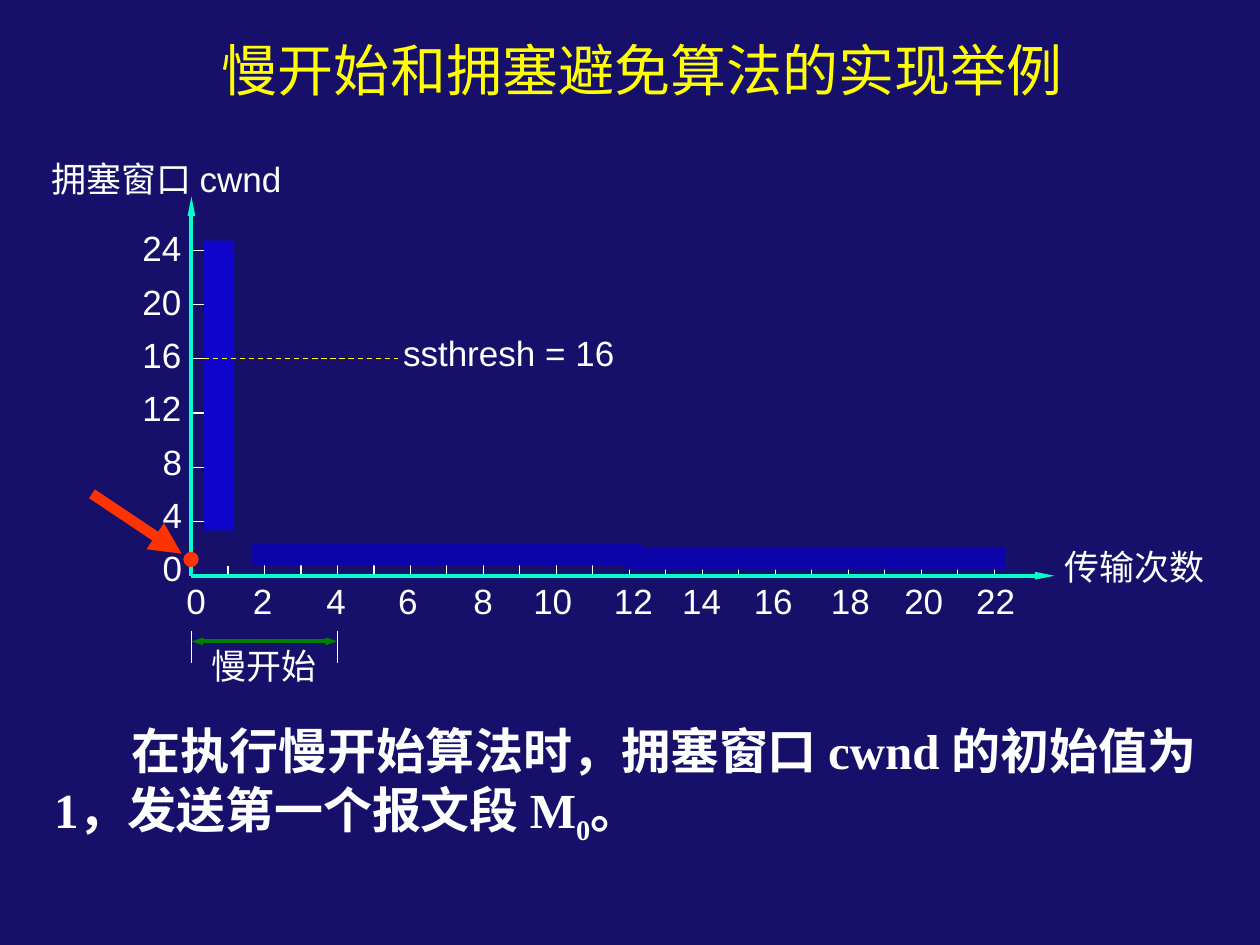
from dataclasses import dataclass

from lxml.etree import SubElement
from pptx import Presentation
from pptx.dml.color import RGBColor
from pptx.enum.dml import MSO_LINE
from pptx.enum.shapes import MSO_CONNECTOR, MSO_SHAPE
from pptx.enum.text import MSO_ANCHOR, MSO_AUTO_SIZE, PP_ALIGN
from pptx.oxml.ns import qn
from pptx.util import Pt


@dataclass(frozen=True)
class Theme:
    """Colours, fonts and sizes of the slide."""
    background: str = "16106B"
    title: str = "FFFF01"
    text: str = "FFFFFF"
    axis: str = "00FFCC"
    threshold: str = "FFFF00"
    tall_band: str = "0F05CD"
    flat_band: str = "0C04A8"
    phase: str = "008000"
    marker: str = "FF3300"
    label_font: str = "Arial"
    body_font: str = "Times New Roman"
    title_size: int = 32
    body_size: int = 28
    label_size: int = 20
    thin: float = 0.75
    thick: float = 2.25
    pointer: float = 6


THEME = Theme()
ORIGIN_X, ORIGIN_Y = 109.4, 329
STEP_X, STEP_Y = 20.85, 31
LABEL_HEIGHT = 31.7
ROUND_CENTRES = (112, 150, 192, 233, 276, 316, 362, 401, 442, 486, 528, 569)


def set_values(target, values):
    """Set every attribute named in a dict."""
    for name, value in values.items():
        setattr(target, name, value)


def format_font(font, size, name, color=THEME.text, bold=False):
    """Format a font."""
    set_values(font, {"size": Pt(size), "name": name, "bold": bold})
    font.color.rgb = RGBColor.from_string(color)


def add_title(slide, text):
    """Fill and place the title placeholder."""
    title = slide.shapes.title
    set_values(title, {"left": Pt(64), "top": Pt(15),
                       "width": Pt(613.5), "height": Pt(49)})
    set_values(title.text_frame, {"text": text, "word_wrap": True,
                                  "auto_size": MSO_AUTO_SIZE.NONE,
                                  "vertical_anchor": MSO_ANCHOR.MIDDLE})
    paragraph = title.text_frame.paragraphs[0]
    paragraph.alignment = PP_ALIGN.CENTER
    format_font(paragraph.runs[0].font, THEME.title_size, THEME.label_font, THEME.title)


def add_text_box(slide, left, top, width, height, wrap):
    """Add a text box and return its first paragraph."""
    frame = slide.shapes.add_textbox(Pt(left), Pt(top), Pt(width), Pt(height)).text_frame
    set_values(frame, {"word_wrap": wrap, "auto_size": MSO_AUTO_SIZE.SHAPE_TO_FIT_TEXT})
    return frame.paragraphs[0]


def add_label(slide, text, left, top, width, wrap=False):
    """Add a one-line label."""
    run = add_text_box(slide, left, top, width, LABEL_HEIGHT, wrap).add_run()
    run.text = text
    format_font(run.font, THEME.label_size, THEME.label_font)


def add_explanation(slide):
    """Add the paragraph below the diagram."""
    paragraph = add_text_box(slide, 23.8, 408.2, 681, 79.2, True)
    paragraph._p.get_or_add_pPr().set("indent", str(Pt(44.5)))
    pieces = (("在执行慢开始算法时，拥塞窗口 cwnd 的初始值为 1，发送第一个报文段 M", False),
              ("0", True), ("。", False))
    for text, subscript in pieces:
        run = paragraph.add_run()
        run.text = text
        format_font(run.font, THEME.body_size, THEME.body_font, bold=True)
        if subscript:
            run._r.get_or_add_rPr().set("baseline", "-25000")


def add_line(slide, start, end, color=THEME.text, weight=THEME.thin, dash=None,
             ends=(), head_width="sm", head_length="med"):
    """Add a straight line with arrowheads at the named ends."""
    line = slide.shapes.add_connector(MSO_CONNECTOR.STRAIGHT, *map(Pt, start + end))
    line.line.color.rgb = RGBColor.from_string(color)
    set_values(line.line, {"width": Pt(weight), "dash_style": dash})
    outline = line.line._get_or_add_ln()
    for tag in ends:
        SubElement(outline, qn(f"a:{tag}"), type="triangle", w=head_width, len=head_length)
    SubElement(line._element.spPr, qn("a:effectLst"))


def add_filled(slide, kind, left, top, width, height, color):
    """Add a plain filled shape."""
    shape = slide.shapes.add_shape(kind, Pt(left), Pt(top), Pt(width), Pt(height))
    shape.shadow.inherit = False
    shape.fill.solid()
    shape.fill.fore_color.rgb = RGBColor.from_string(color)
    shape.line.fill.background()
    return shape


def add_ticks(slide):
    """Draw the ticks of both axes."""
    for index in range(1, 23):
        x = ORIGIN_X + index * STEP_X
        length = 5.8 if index in (1, 14) else 12.2
        add_line(slide, (x, ORIGIN_Y - length), (x, ORIGIN_Y))
    for index in range(1, 7):
        y = ORIGIN_Y - index * STEP_Y
        add_line(slide, (ORIGIN_X, y), (ORIGIN_X + STEP_X, y))


def add_axis_labels(slide):
    """Write the numbers and names of both axes."""
    widths = {1: 25.2, 2: 36.7}
    for index, centre in enumerate(ROUND_CENTRES):
        text = str(2 * index)
        width = widths[len(text)]
        add_label(slide, text, centre - width / 2, 327.6, width)
    for index in range(7):
        text = str(4 * index)
        width = widths[len(text)]
        add_label(slide, text, 111 - width, 309 - 30.5 * index, width)
    add_label(slide, "传输次数", 601.2, 308.2, 94.3)
    add_label(slide, "拥塞窗口 cwnd", 22.3, 86.4, 156.2)


def add_bands(slide):
    """Draw the bands beside the axes."""
    for box, color in (((116.6, 137.5, 17.3, 165.6), THEME.tall_band),
                       ((144, 311, 222.5, 12.2), THEME.flat_band),
                       ((357.1, 312.5, 217.4, 13), THEME.flat_band)):
        add_filled(slide, MSO_SHAPE.RECTANGLE, *box, color)


def add_slow_start(slide):
    """Mark the span of the slow start phase."""
    end = ORIGIN_X + 4 * STEP_X
    for x in (ORIGIN_X, end):
        add_line(slide, (x, 360.7), (x, 378.7))
    add_label(slide, "慢开始", 113.8, 365, 78.5, wrap=True)
    add_line(slide, (ORIGIN_X, 366.5), (end, 366.5), THEME.phase, THEME.thick,
             ends=("headEnd", "tailEnd"))


def add_start_point(slide):
    """Mark the initial window with a dot and a pointer."""
    dot = add_filled(slide, MSO_SHAPE.OVAL, 105.6, 316.1, 7.2, 7.2, THEME.marker)
    dot.line.color.rgb = RGBColor.from_string(THEME.marker)
    dot.line.width = Pt(1.5)
    add_line(slide, (52.6, 282.2), (103.7, 316.4), THEME.marker, THEME.pointer,
             ends=("tailEnd",), head_width="med")


def main():
    """Build and save the slide."""
    presentation = Presentation()
    set_values(presentation, {"slide_width": Pt(720), "slide_height": Pt(540)})
    slide = presentation.slides.add_slide(presentation.slide_layouts[5])
    slide.background.fill.solid()
    slide.background.fill.fore_color.rgb = RGBColor.from_string(THEME.background)
    add_title(slide, "慢开始和拥塞避免算法的实现举例 ")
    add_explanation(slide)
    add_ticks(slide)
    add_axis_labels(slide)
    add_bands(slide)
    add_line(slide, (116.6, 205), (227.5, 205), THEME.threshold, dash=MSO_LINE.DASH)
    add_label(slide, "ssthresh = 16", 223.2, 185.8, 135.4)
    add_slow_start(slide)
    for tip in ((ORIGIN_X, 112.3), (602.6, ORIGIN_Y)):
        add_line(slide, (ORIGIN_X, ORIGIN_Y), tip, THEME.axis, THEME.thick,
                 ends=("tailEnd",), head_length="lg")
    add_start_point(slide)
    presentation.save("out.pptx")


if __name__ == "__main__":
    main()
